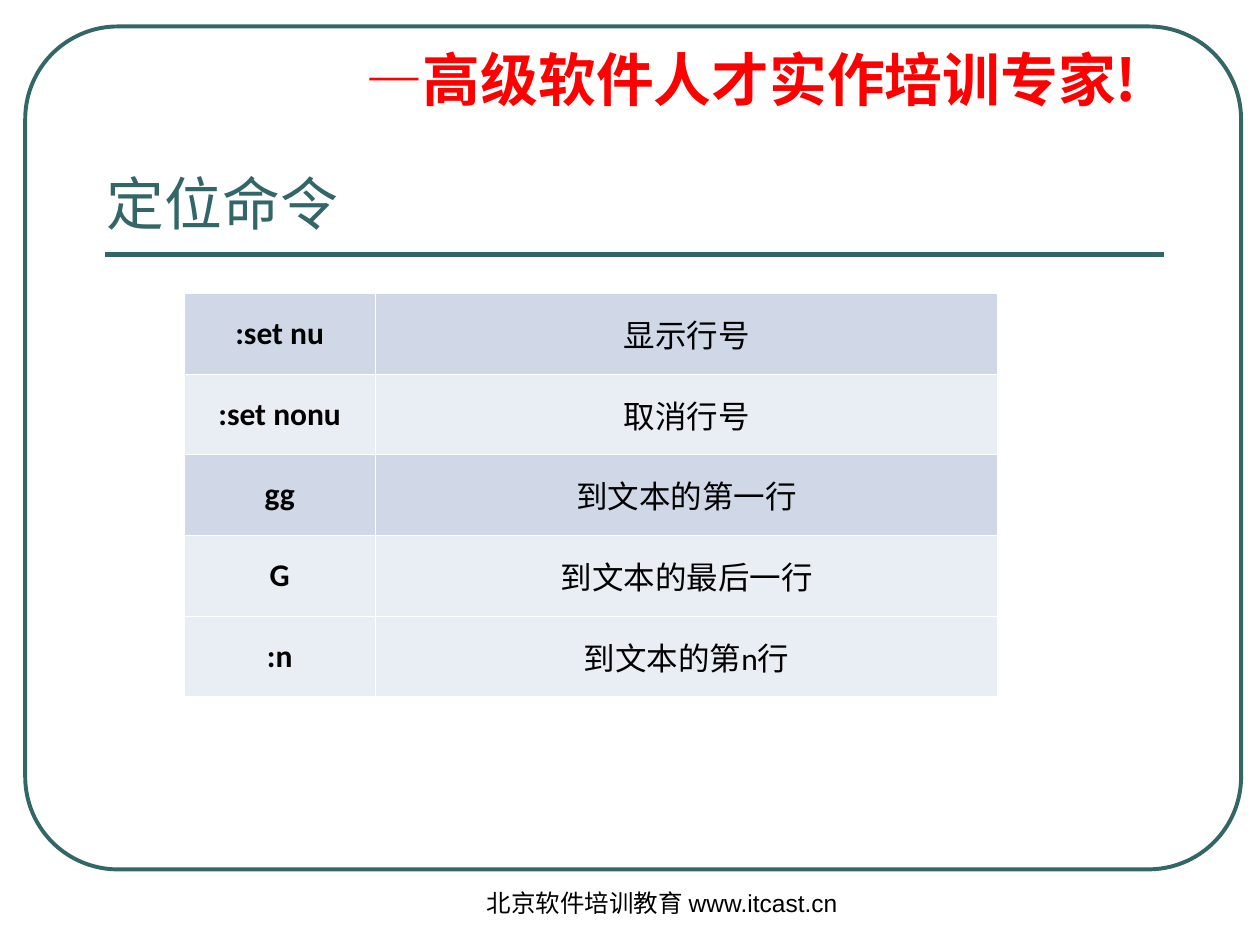
import pptx
import pptx.util
import pptx.dml.color
import pptx.enum.shapes
import pptx.enum.text
import pptx.oxml
import pptx.oxml.ns
from lxml import etree

Inches, Pt = pptx.util.Inches, pptx.util.Pt
ALIGN = pptx.enum.text.PP_ALIGN
ANCHOR = pptx.enum.text.MSO_ANCHOR
qn = pptx.oxml.ns.qn

COLORS = {"teal": "336666", "red": "FF0000", "black": "000000", "white": "FFFFFF",
          "dark_band": "D0D8E8", "light_band": "E9EDF4"}
CJK = "Noto Sans CJK SC"
SLOGAN = [("—", "Montserrat"), ("高级软件人才实作培训专家!", CJK)]
TITLE = "定位命令"
FOOTER = "北京软件培训教育 www.itcast.cn"
COMMANDS = [
    (":set nu", "显示行号", "dark_band"),
    (":set nonu", "取消行号", "light_band"),
    ("gg", "到文本的第一行", "dark_band"),
    ("G", "到文本的最后一行", "light_band"),
    (":n", "到文本的第n行", "light_band"),
]
COL_WIDTHS = [1.52, 4.94]
ROW_HEIGHT = 0.64


def rgb(name):
    return pptx.dml.color.RGBColor.from_string(COLORS[name])


def add_run(p, text, font, size, color, bold=False):
    r = p.add_run()
    r.text = text
    r.font.name = font
    r.font.size = Pt(size)
    r.font.bold = bold
    r.font.color.rgb = rgb(color)
    ea = etree.SubElement(r._r.get_or_add_rPr(), qn("a:ea"))
    ea.set("typeface", CJK)


def add_text_box(slide, box, anchor=ANCHOR.TOP):
    tf = slide.shapes.add_textbox(*map(Inches, box)).text_frame
    tf.word_wrap = True
    tf.vertical_anchor = anchor
    return tf.paragraphs[0]


def set_borders(cell, color, width):
    tcPr = cell._tc.get_or_add_tcPr()
    for i, side in enumerate(("a:lnL", "a:lnR", "a:lnT", "a:lnB")):
        ln = etree.Element(qn(side), w=str(Pt(width)))
        fill = etree.SubElement(ln, qn("a:solidFill"))
        etree.SubElement(fill, qn("a:srgbClr"), val=COLORS[color])
        tcPr.insert(i, ln)


def add_frame(slide):
    sp = slide.shapes.add_shape(pptx.enum.shapes.MSO_SHAPE.ROUNDED_RECTANGLE,
                                *map(Inches, (0.2, 0.21, 9.65, 6.69)))
    sp.adjustments[0] = 0.11
    sp.shadow.inherit = False
    sp.fill.background()
    sp.line.color.rgb = rgb("teal")
    sp.line.width = Pt(2.25)
    rule = slide.shapes.add_connector(pptx.enum.shapes.MSO_CONNECTOR.STRAIGHT,
                                      *map(Inches, (0.83, 2.02, 9.24, 2.02)))
    rule.line.color.rgb = rgb("teal")
    rule.line.width = Pt(3)
    etree.SubElement(rule._element.spPr, qn("a:effectLst"))


def add_texts(slide):
    p = add_text_box(slide, (2.8, 0.36, 6.3, 0.6))
    p.line_spacing = 0.9
    pPr = p._p.get_or_add_pPr()
    pPr.set("marL", str(Inches(0.38)))
    pPr.set("indent", str(-Inches(0.38)))
    for text, font in SLOGAN:
        add_run(p, text, font, 33, "red", True)

    p = add_text_box(slide, (3.67, 7, 3.17, 0.5))
    p.alignment = ALIGN.CENTER
    add_run(p, FOOTER, "Arial", 14, "black")

    p = add_text_box(slide, (0.75, 0.36, 8.42, 1.57), ANCHOR.BOTTOM)
    add_run(p, TITLE, "Montserrat", 33, "teal")


def add_commands(slide):
    table = slide.shapes.add_table(
        len(COMMANDS), len(COL_WIDTHS), Inches(1.46), Inches(2.33),
        Inches(sum(COL_WIDTHS)), Inches(ROW_HEIGHT * len(COMMANDS))).table
    table.first_row = table.horz_banding = False
    for col, width in zip(table.columns, COL_WIDTHS):
        col.width = Inches(width)
    for row, (command, meaning, band) in zip(table.rows, COMMANDS):
        row.height = Inches(ROW_HEIGHT)
        for cell, text, bold in zip(row.cells, (command, meaning), (True, False)):
            cell.fill.solid()
            cell.fill.fore_color.rgb = rgb(band)
            cell.vertical_anchor = ANCHOR.MIDDLE
            set_borders(cell, "white", 0.45)
            p = cell.text_frame.paragraphs[0]
            p.alignment = ALIGN.CENTER
            add_run(p, text, "Calibri", 18, "black", bold)


def main():
    prs = pptx.Presentation()
    prs.slide_width, prs.slide_height = Inches(10), Inches(7.5)
    slide = prs.slides.add_slide(prs.slide_layouts[6])
    add_frame(slide)
    add_texts(slide)
    add_commands(slide)
    prs.save("out.pptx")


if __name__ == "__main__":
    main()
